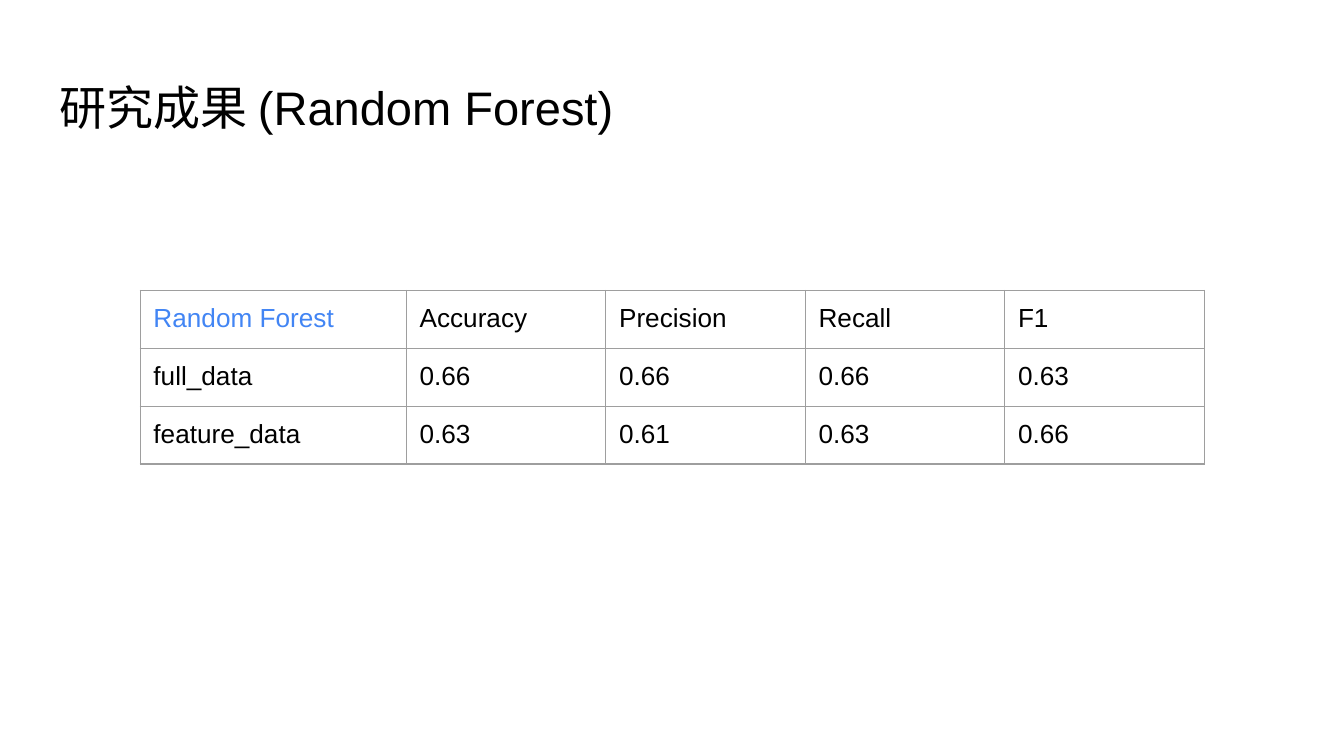
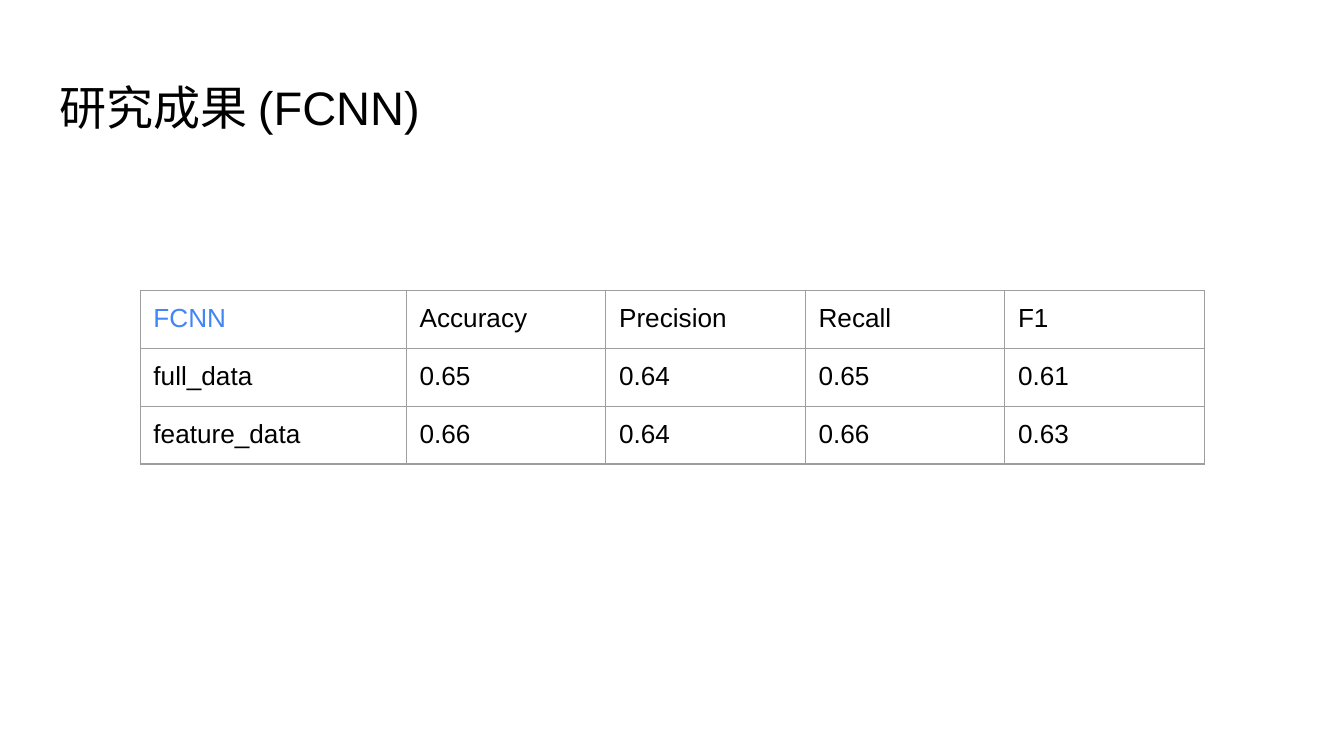
from dataclasses import dataclass

from lxml.etree import SubElement
from pptx import Presentation
from pptx.dml.color import RGBColor
from pptx.enum.text import MSO_ANCHOR
from pptx.oxml.ns import qn
from pptx.slide import Slide
from pptx.table import _Cell
from pptx.text.text import _Paragraph
from pptx.util import Cm, Pt

COLOURS = {"text": "000000", "model": "4285F4", "border": "9E9E9E"}
FONT = "Arial"
INSET = Cm(0.25)
METRICS = ("Accuracy", "Precision", "Recall", "F1")
LABEL_WIDTH, METRIC_WIDTH, ROW_HEIGHT = Cm(5.03), Cm(3.77), Cm(1.07)


@dataclass(frozen=True)
class ModelResult:
    model: str
    full_data: tuple[str, ...]
    feature_data: tuple[str, ...]

    def rows(self) -> list[tuple[str, ...]]:
        return [
            (self.model, *METRICS),
            ("full_data", *self.full_data),
            ("feature_data", *self.feature_data),
        ]


RESULTS = (
    ModelResult("Random Forest", ("0.66", "0.66", "0.66", "0.63"), ("0.63", "0.61", "0.63", "0.66")),
    ModelResult("FCNN", ("0.65", "0.64", "0.65", "0.61"), ("0.66", "0.64", "0.66", "0.63")),
)


def write(para: _Paragraph, text: str, size: float, colour: str) -> None:
    para.text = text
    para.font.name = FONT
    para.font.size = Pt(size)
    para.font.color.rgb = RGBColor.from_string(COLOURS[colour])


def add_title(page: Slide, text: str) -> None:
    box = page.shapes.add_textbox(Cm(0.87), Cm(1.24), Cm(23.67), Cm(1.6))
    frame = box.text_frame
    frame.word_wrap = True
    frame.vertical_anchor = MSO_ANCHOR.TOP
    frame.margin_left = frame.margin_right = frame.margin_top = frame.margin_bottom = INSET
    write(frame.paragraphs[0], text, 25.2, "text")


def add_borders(cell: _Cell) -> None:
    """Outline all four sides; the lines must precede the fill in the cell properties."""
    properties = cell._tc.get_or_add_tcPr()
    for position, side in enumerate(("lnL", "lnR", "lnT", "lnB")):
        line = SubElement(properties, qn(f"a:{side}"), w=str(Pt(0.75)))
        fill = SubElement(line, qn("a:solidFill"))
        SubElement(fill, qn("a:srgbClr"), val=COLOURS["border"])
        properties.insert(position, line)


def add_result_table(page: Slide, result: ModelResult) -> None:
    rows = result.rows()
    widths = [LABEL_WIDTH] + [METRIC_WIDTH] * len(METRICS)
    table = page.shapes.add_table(
        len(rows), len(widths), Cm(2.65), Cm(5.49), sum(widths), ROW_HEIGHT * len(rows)
    ).table
    table.first_row = table.horz_banding = False
    for column, width in zip(table.columns, widths):
        column.width = width
    for row_index, texts in enumerate(rows):
        table.rows[row_index].height = ROW_HEIGHT
        for column_index, text in enumerate(texts):
            cell = table.cell(row_index, column_index)
            cell.margin_left = cell.margin_right = cell.margin_top = cell.margin_bottom = INSET
            cell.fill.background()
            add_borders(cell)
            colour = "model" if row_index == column_index == 0 else "text"
            write(cell.text_frame.paragraphs[0], text, 14, colour)


def main() -> None:
    deck = Presentation()
    deck.slide_width, deck.slide_height = Cm(25.4), Cm(14.29)
    for result in RESULTS:
        page = deck.slides.add_slide(deck.slide_layouts[6])
        add_title(page, f"研究成果 ({result.model})")
        add_result_table(page, result)
    deck.save("out.pptx")


if __name__ == "__main__":
    main()
